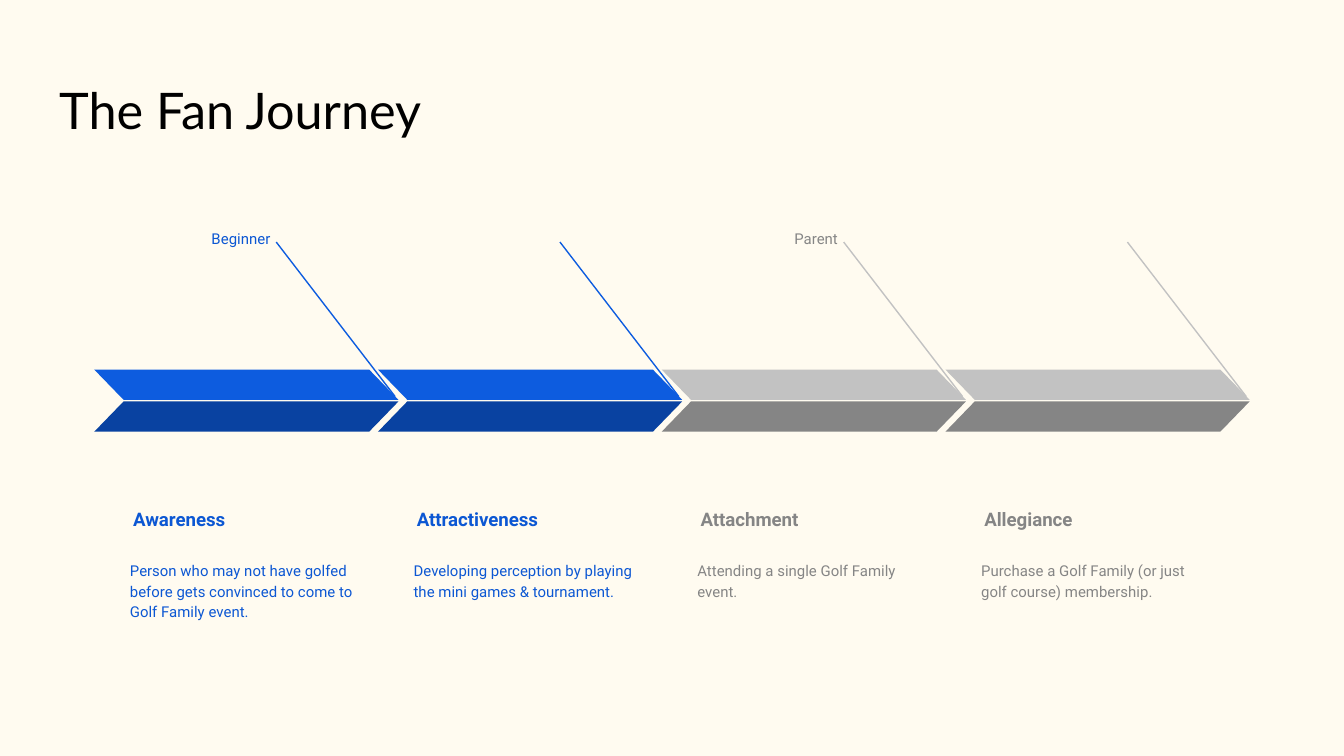
from dataclasses import dataclass

from pptx import Presentation
from pptx.dml.color import RGBColor
from pptx.enum.shapes import MSO_CONNECTOR, MSO_SHAPE
from pptx.enum.text import MSO_ANCHOR, PP_ALIGN
from pptx.oxml.ns import qn
from pptx.util import Pt
from lxml.etree import SubElement


@dataclass(frozen=True)
class Palette:
    text: str
    light: str
    dark: str


@dataclass(frozen=True)
class Theme:
    background: str = "FFFBF0"
    title_color: str = "000000"
    title_font: str = "Lato"
    body_font: str = "Roboto"
    title_size: float = 27
    heading_size: float = 10
    body_size: float = 8
    inset: float = 7.2
    line_spacing: float = 1.15
    reached: Palette = Palette("0C57D3", "0D5CDF", "0942A1")
    ahead: Palette = Palette("858585", "C2C2C2", "858585")


@dataclass(frozen=True)
class Box:
    left: float
    top: float
    width: float
    height: float

    def inner(self, left, top, width, height):
        """Return a box placed relative to this one."""
        return Box(self.left + left, self.top + top, width, height)

    def lengths(self):
        return Pt(self.left), Pt(self.top), Pt(self.width), Pt(self.height)


THEME = Theme()
STAGES = [
    ("Beginner", "Awareness",
     "Person who may not have golfed before gets convinced to come to Golf Family event.",
     THEME.reached),
    ("", "Attractiveness",
     "Developing perception by playing the mini games & tournament.", THEME.reached),
    ("Parent", "Attachment", "Attending a single Golf Family event.", THEME.ahead),
    ("", "Allegiance",
     "Purchase a Golf Family (or just golf course) membership.", THEME.ahead),
]


def rgb(color):
    return RGBColor.from_string(color)


def fill_text(frame, text, font, size, color, bold=False):
    """Write one paragraph into an inset, wrapping frame and return it."""
    frame.word_wrap = True
    frame.margin_left = frame.margin_right = Pt(THEME.inset)
    frame.margin_top = frame.margin_bottom = Pt(THEME.inset)
    frame.text = text
    para = frame.paragraphs[0]
    span = para.runs[0]
    span.font.name, span.font.size, span.font.bold = font, Pt(size), bold
    span.font.color.rgb = rgb(color)
    return para


def add_label(group, box, text, color, size=THEME.body_size, bold=False,
              align=PP_ALIGN.LEFT, anchor=MSO_ANCHOR.TOP):
    frame = group.shapes.add_textbox(*box.lengths()).text_frame
    para = fill_text(frame, text, THEME.body_font, size, color, bold)
    frame.vertical_anchor = anchor
    para.alignment = align
    para.line_spacing = THEME.line_spacing


def add_band(group, box, color, flipped=False):
    """Draw one slanted half of a chevron."""
    band = group.shapes.add_shape(MSO_SHAPE.PARALLELOGRAM, *box.lengths())
    band.adjustments[0] = 0.97
    band.shadow.inherit = False
    band.fill.solid()
    band.fill.fore_color.rgb = rgb(color)
    band.line.fill.background()
    if flipped:
        band._element.spPr.find(qn("a:xfrm")).set("flipH", "1")


def add_pointer(group, box, color):
    """Draw a line from the top left to the bottom right of the box."""
    pointer = group.shapes.add_connector(
        MSO_CONNECTOR.STRAIGHT, Pt(box.left), Pt(box.top),
        Pt(box.left + box.width), Pt(box.top + box.height))
    pointer.line.color.rgb = rgb(color)
    pointer.line.width = Pt(0.75)
    SubElement(pointer._element.spPr, qn("a:effectLst"))


def add_title(page, box, text):
    title = page.shapes.title
    title.left, title.top, title.width, title.height = box.lengths()
    para = fill_text(title.text_frame, text, THEME.title_font,
                     THEME.title_size, THEME.title_color)
    title.text_frame.vertical_anchor = MSO_ANCHOR.TOP
    para.alignment = PP_ALIGN.LEFT


def add_stage(page, box, tag, heading, description, palette):
    group = page.shapes.add_group_shape()
    if tag:
        add_label(group, box.inner(46, 0, 55.5, 27.5), tag, palette.text,
                  align=PP_ALIGN.RIGHT)
    add_label(group, box.inner(13.7, 125.2, 134, 49.7), heading, palette.text,
              THEME.heading_size, bold=True, anchor=MSO_ANCHOR.BOTTOM)
    add_label(group, box.inner(12, 176.3, 137.5, 82.8), description, palette.text)
    add_pointer(group, box.inner(97.5, 13.7, 63.7, 82.8), palette.light)
    add_band(group, box.inner(0, 82, box.width, 16.2), palette.light, flipped=True)
    add_band(group, box.inner(0, 99.1, box.width, 16.2), palette.dark)


def add_journey(page, box, stages):
    """Spread equal stages over the box, each overlapping the next."""
    stage_width = 163
    pitch = (box.width - stage_width) / (len(stages) - 1)
    for index, stage in enumerate(stages):
        add_stage(page, box.inner(index * pitch, 0, stage_width, box.height), *stage)


def main():
    deck = Presentation()
    deck.slide_width, deck.slide_height = Pt(720), Pt(405)
    page = deck.slides.add_slide(deck.slide_layouts.get_by_name("Title Only"))
    page.background.fill.solid()
    page.background.fill.fore_color.rgb = rgb(THEME.background)
    add_title(page, Box(24.5, 35, 671, 48), "The Fan Journey")
    add_journey(page, Box(50.5, 116, 619, 259), STAGES)
    deck.save("out.pptx")


if __name__ == "__main__":
    main()
